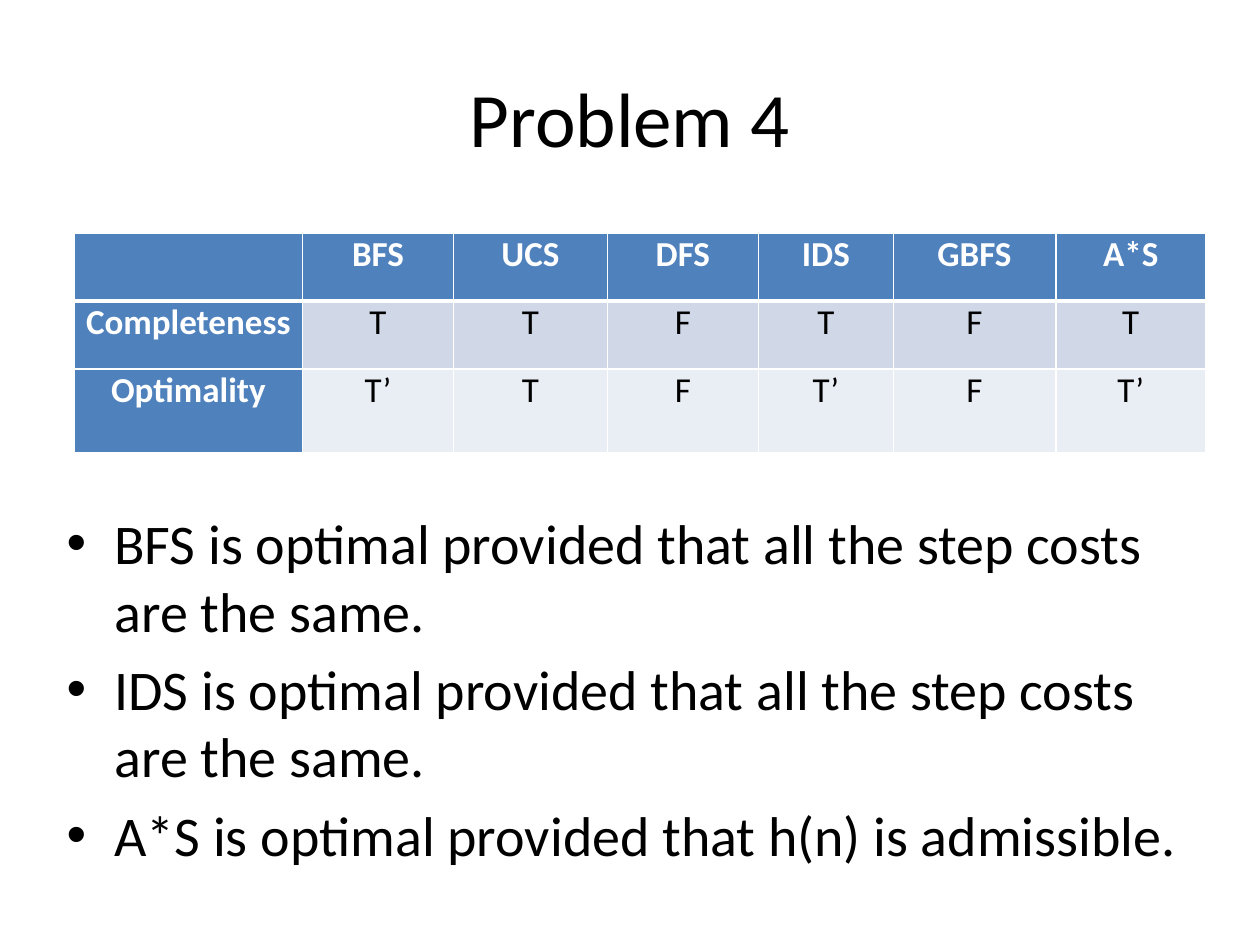
"""Build the Problem 4 slide comparing search algorithms."""
from lxml.etree import SubElement
from pptx import Presentation
from pptx.dml.color import RGBColor
from pptx.enum.text import MSO_ANCHOR, PP_ALIGN
from pptx.oxml.ns import qn
from pptx.util import Inches, Pt

COLORS = {
    "text": "000000",
    "white": "FFFFFF",
    "header": "4F81BD",
    "Completeness": "D0D8E8",
    "Optimality": "E9EDF4",
}
ROWS = [
    ["", "BFS", "UCS", "DFS", "IDS", "GBFS", "A*S"],
    ["Completeness", "T", "T", "F", "T", "F", "T"],
    ["Optimality", "T’", "T", "F", "T’", "F", "T’"],
]
COLUMN_WIDTHS = [1.81, 1.2, 1.22, 1.2, 1.07, 1.29, 1.19]
ROW_HEIGHTS = [0.54, 0.54, 0.66]
CONDITIONS = [
    "BFS is optimal provided that all the step costs are the same.",
    "IDS is optimal provided that all the step costs are the same.",
    "A*S is optimal provided that h(n) is admissible.",
]
CELL_FORMAT = {
    "margin_left": Inches(0.07),
    "margin_right": Inches(0.07),
    "margin_top": 0,
    "margin_bottom": 0,
    "vertical_anchor": MSO_ANCHOR.TOP,
}


def write(paragraph, text, size, color="text", bold=False):
    paragraph.text = text
    font = paragraph.font
    for name, value in {"name": "Calibri", "size": Pt(size), "bold": bold}.items():
        setattr(font, name, value)
    font.color.rgb = RGBColor.from_string(COLORS[color])


def add_border(cell, side, points):
    properties = cell._tc.get_or_add_tcPr()
    line = SubElement(properties, qn(f"a:ln{side}"), w=str(Pt(points)))
    fill = SubElement(line, qn("a:solidFill"))
    SubElement(fill, qn("a:srgbClr"), val=COLORS["white"])


presentation = Presentation()
presentation.slide_width = Inches(10)
presentation.slide_height = Inches(7.5)
slide = presentation.slides.add_slide(presentation.slide_layouts[5])

title = slide.shapes.title
title.left, title.top = Inches(0.5), Inches(0.3)
title.width, title.height = Inches(9), Inches(1.25)
title.text_frame.vertical_anchor = MSO_ANCHOR.MIDDLE
title_paragraph = title.text_frame.paragraphs[0]
write(title_paragraph, "Problem 4", 44)
title_paragraph.alignment = PP_ALIGN.CENTER

conditions = slide.shapes.add_textbox(Inches(0.43), Inches(3.99), Inches(9.21), Inches(3.07))
conditions_frame = conditions.text_frame
conditions_frame.word_wrap = True
for index, condition in enumerate(CONDITIONS):
    paragraph = conditions_frame.add_paragraph() if index else conditions_frame.paragraphs[0]
    write(paragraph, condition, 32)
    paragraph.space_before = Pt(6.4)
    properties = paragraph._p.get_or_add_pPr()
    properties.set("marL", str(Inches(0.38)))
    properties.set("indent", str(-Inches(0.38)))
    bullet_font = SubElement(properties, qn("a:buFont"), typeface="Arial")
    bullet_font.addnext(properties.makeelement(qn("a:buChar"), {"char": "•"}))
    defaults = properties.find(qn("a:defRPr"))
    if defaults is not None:
        properties.append(defaults)

table = slide.shapes.add_table(
    len(ROWS), len(COLUMN_WIDTHS), Inches(0.59), Inches(1.85), Inches(8.98), Inches(1.74)
).table
for column, width in zip(table.columns, COLUMN_WIDTHS):
    column.width = Inches(width)
for row, height in zip(table.rows, ROW_HEIGHTS):
    row.height = Inches(height)

for row_index, labels in enumerate(ROWS):
    for column_index, label in enumerate(labels):
        cell = table.cell(row_index, column_index)
        is_header = row_index == 0 or column_index == 0
        for name, value in CELL_FORMAT.items():
            setattr(cell, name, value)
        borders = {
            "L": 1,
            "R": 1,
            "T": 3 if row_index == 1 else 1,
            "B": 3 if row_index == 0 else 1,
        }
        for side, points in borders.items():
            add_border(cell, side, points)
        cell.fill.solid()
        fill_name = "header" if is_header else labels[0]
        cell.fill.fore_color.rgb = RGBColor.from_string(COLORS[fill_name])
        paragraph = cell.text_frame.paragraphs[0]
        write(paragraph, label, 20, "white" if is_header else "text", is_header)
        paragraph.alignment = PP_ALIGN.CENTER
        paragraph.space_before = Pt(6)

presentation.save("out.pptx")
